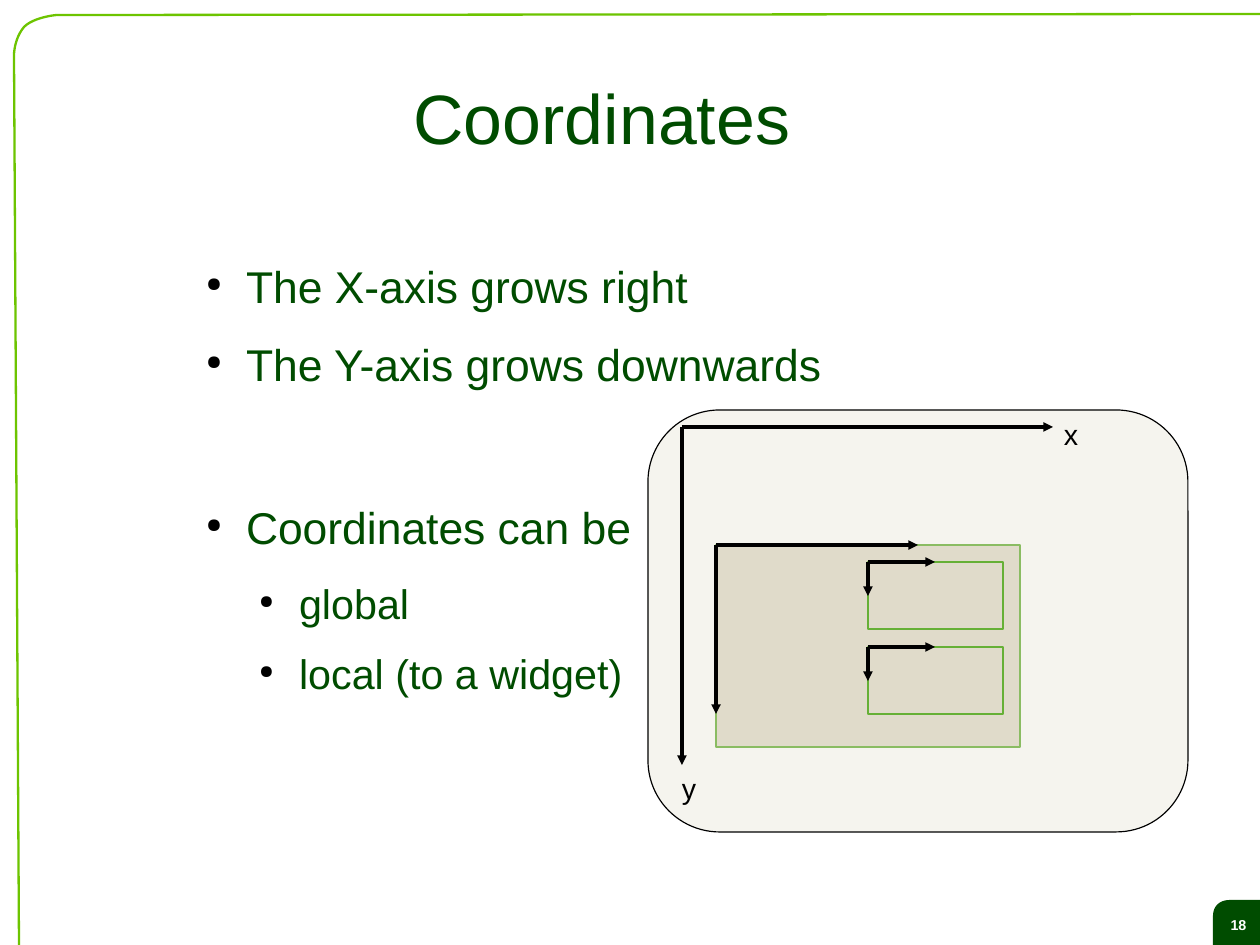
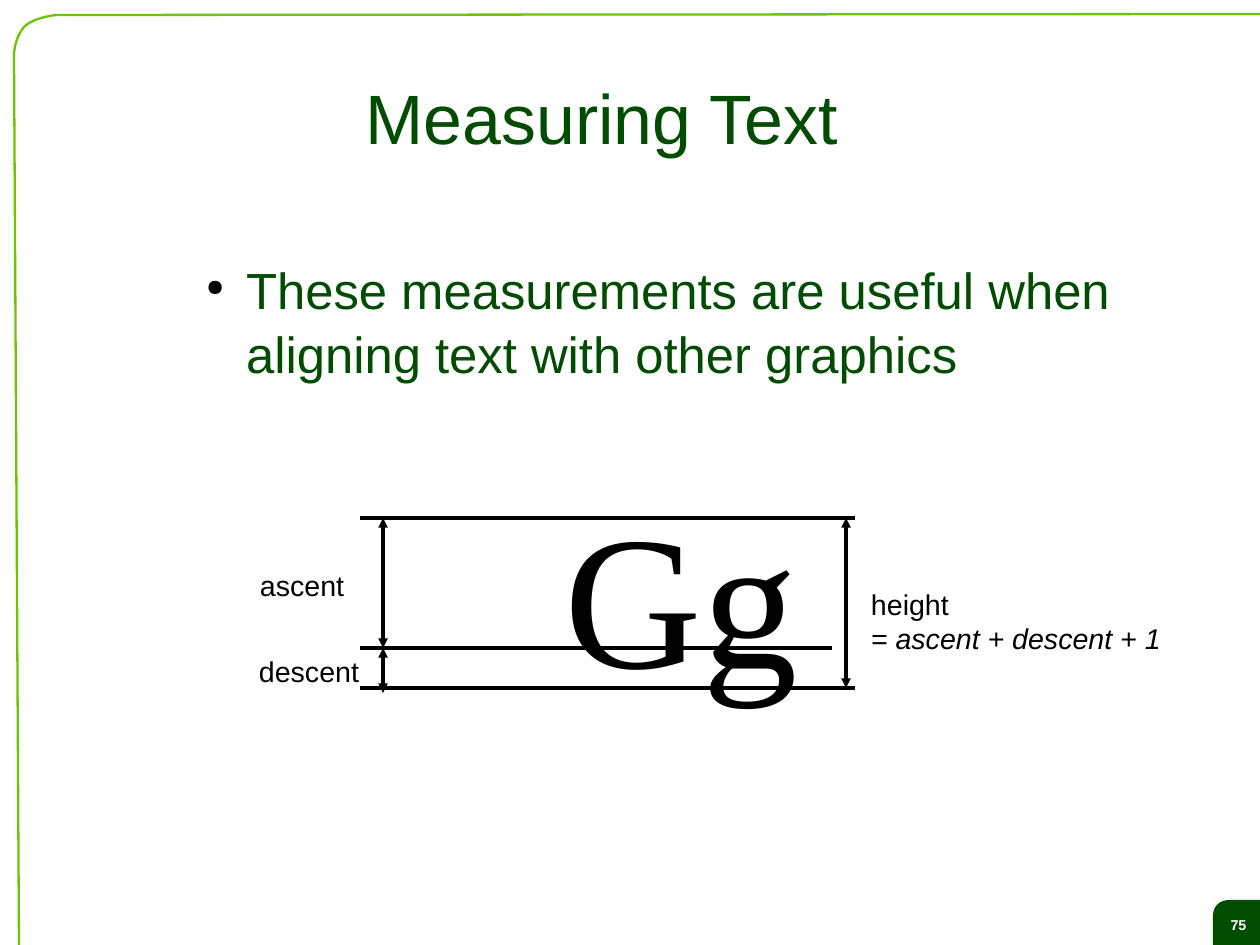
from dataclasses import dataclass

from pptx import Presentation
from pptx import util as u
from pptx.dml.color import RGBColor
from pptx.enum import shapes, text
from pptx.oxml.ns import qn
from lxml import etree

PX = 8000
WIDTH, HEIGHT = 1260, 945


@dataclass(frozen=True)
class Theme:
    dark: str = "004C00"
    frame: str = "6DC400"
    edge: str = "66B036"
    sand: str = "E0DBCA"
    black: str = "000000"
    white: str = "FFFFFF"
    sans: str = "Arial"
    serif: str = "Times New Roman"
    title: int = 44
    label: int = 18
    sample: int = 120
    number: int = 9
    frame_width: float = 1.45
    edge_width: float = 1.7


T = Theme()
BULLET_LEVELS = (
    {"indent": 54, "after": 14.2},
    {"indent": 107, "after": 11.3},
)
HANG = 40
ROOMY_AFTER = 67


def px(n):
    return u.Emu(round(n * PX))


def rgb(c):
    return RGBColor.from_string(c)


def apply(obj, values):
    for name, value in values.items():
        setattr(obj, name, value)


def sub(parent, tag, **attrs):
    return etree.SubElement(parent, qn(tag), attrs)


def paint(sp, fill=None, alpha=None, line=None, width=0):
    sp.shadow.inherit = False
    if fill:
        sp.fill.solid()
        sp.fill.fore_color.rgb = rgb(fill)
        if alpha:
            color = sp.fill._xPr.find(qn("a:solidFill"))[0]
            sub(color, "a:alpha", val=str(alpha * 1000))
    else:
        sp.fill.background()
    if line:
        sp.line.color.rgb = rgb(line)
        sp.line.width = u.Pt(width)
    else:
        sp.line.fill.background()


def setup_frame(tf, margins=(0, 0, 0, 0), anchor=text.MSO_ANCHOR.TOP):
    sides = ("margin_left", "margin_top", "margin_right", "margin_bottom")
    apply(tf, {side: px(m) for side, m in zip(sides, margins)})
    apply(tf, {"word_wrap": True, "vertical_anchor": anchor})
    return tf


def write(p, words, size, color=T.black, font=T.sans, **extra):
    r = p.add_run()
    r.text = words
    apply(r.font, {"name": font, "size": u.Pt(size), **extra})
    r.font.color.rgb = rgb(color)


def box(s, x, y, w, h, **frame):
    sp = s.shapes.add_textbox(px(x), px(y), px(w), px(h))
    return setup_frame(sp.text_frame, **frame)


def label(s, x, y, w, h, words, size=T.label, **extra):
    tf = box(s, x, y, w, h, margins=(11, 6, 11, 6))
    write(tf.paragraphs[0], words, size, **extra)
    return tf


def bezier(a, b, c, d, steps=12):
    points = []
    for i in range(1, steps + 1):
        t = i / steps
        k = ((1 - t) ** 3, 3 * t * (1 - t) ** 2, 3 * t * t * (1 - t), t ** 3)
        points.append(tuple(sum(m * q for m, q in zip(k, axis))
                            for axis in zip(a, b, c, d)))
    return points


def outline(s, points, close):
    scaled = [(px(x), px(y)) for x, y in points]
    fb = s.shapes.build_freeform(*scaled[0], scale=1.0)
    fb.add_line_segments(scaled[1:], close=close)
    return fb.convert_to_shape()


def add_page(prs, title, number):
    s = prs.slides.add_slide(prs.slide_layouts[6])
    badge = outline(s, [(1230, 900), (WIDTH, 900), (WIDTH, HEIGHT), (1213, HEIGHT), (1213, 916)]
                    + bezier((1213, 916), (1213, 907), (1219, 900), (1230, 900)), True)
    paint(badge, fill=T.dark)
    tf = setup_frame(badge.text_frame, (4, 4, 0, 0), text.MSO_ANCHOR.MIDDLE)
    p = tf.paragraphs[0]
    p.alignment = text.PP_ALIGN.CENTER
    write(p, str(number), T.number, T.white, bold=True)

    border = outline(s, [(WIDTH, 14), (57, 15)]
                     + bezier((57, 15), (56, 15), (34, 17), (24, 27))
                     + bezier((24, 27), (14, 39), (14, 55), (14, 55))
                     + [(19, HEIGHT)], False)
    paint(border, line=T.frame, width=T.frame_width)

    tf = box(s, 192, 38, 820, 158, anchor=text.MSO_ANCHOR.MIDDLE)
    p = tf.paragraphs[0]
    p.alignment = text.PP_ALIGN.CENTER
    write(p, title, T.title, T.dark)
    return s


def bullets(s, items):
    tf = box(s, 192, 256, 1005, 624)
    for i, (words, size, level, after) in enumerate(items):
        p = tf.add_paragraph() if i else tf.paragraphs[0]
        style = BULLET_LEVELS[level]
        apply(p, {"level": level, "line_spacing": 1.05,
                  "space_after": u.Pt(after or style["after"])})
        pPr = p._p.get_or_add_pPr()
        pPr.set("marL", str(px(style["indent"])))
        pPr.set("indent", str(px(-HANG)))
        sub(sub(pPr, "a:buClr"), "a:srgbClr", val=T.black)
        sub(pPr, "a:buSzPct", val="45000")
        sub(pPr, "a:buChar", char="●")
        write(p, words, size, T.dark)


def rule(s, x1, y1, x2, y2, head=False, tail=False):
    c = s.shapes.add_connector(shapes.MSO_CONNECTOR.STRAIGHT,
                               px(x1), px(y1), px(x2), px(y2))
    c.line.color.rgb = rgb(T.black)
    c.line.width = u.Pt(0)
    ln = c.line._get_or_add_ln()
    for tag, wanted in (("a:headEnd", head), ("a:tailEnd", tail)):
        if wanted:
            sub(ln, tag, type="triangle")
    sub(c._element.spPr, "a:effectLst")


def axes(s, x, y, dx, dy):
    rule(s, x, y, x + dx, y, tail=True)
    rule(s, x, y, x, y + dy, tail=True)


def panel(s, x, y, w, h, kind=shapes.MSO_SHAPE.RECTANGLE, alpha=None,
          line=T.edge, width=T.edge_width):
    sp = s.shapes.add_shape(kind, px(x), px(y), px(w), px(h))
    paint(sp, T.sand, alpha, line, width)
    return sp


def coordinates(prs):
    s = add_page(prs, "Coordinates", 18)
    bullets(s, [
        ("The X-axis grows right", 28, 0, None),
        ("The Y-axis grows downwards", 28, 0, ROOMY_AFTER),
        ("Coordinates can be", 28, 0, None),
        ("global", 26, 1, None),
        ("local (to a widget)", 26, 1, None),
    ])
    panel(s, 716, 545, 304, 202)
    screen = panel(s, 648, 410, 540, 422, shapes.MSO_SHAPE.ROUNDED_RECTANGLE,
                   30, T.black, 0)
    screen.adjustments[0] = 0.17
    axes(s, 682, 427, 371, 338)
    axes(s, 716, 545, 202, 169)
    for y in (562, 647):
        panel(s, 868, y, 135, 67)
        axes(s, 868, y, 67, 34)
    label(s, 1053, 411, 40, 43, "x")
    label(s, 671, 765, 40, 43, "y")


def measuring_text(prs):
    s = add_page(prs, "Measuring Text", 75)
    bullets(s, [("These measurements are useful when aligning text with other graphics",
                 32, 0, None)])
    label(s, 554, 472, 270, 222, "Gg", T.sample, font=T.serif)
    top, base, bottom = 518, 648, 688
    for y, right in ((base, 832), (top, 855), (bottom, 855)):
        rule(s, 360, y, right, y)
    for x, y1, y2 in ((383, base, 693), (383, top, base), (846, top, bottom)):
        rule(s, x, y1, x, y2, head=True, tail=True)
    label(s, 249, 562, 120, 43, "ascent")
    label(s, 248, 648, 135, 43, "descent")
    tf = label(s, 860, 581, 330, 90, "height")
    write(tf.add_paragraph(), "= ascent + descent + 1", T.label, italic=True)


def main():
    prs = Presentation()
    apply(prs, {"slide_width": px(WIDTH), "slide_height": px(HEIGHT)})
    coordinates(prs)
    measuring_text(prs)
    prs.save("out.pptx")


if __name__ == "__main__":
    main()
